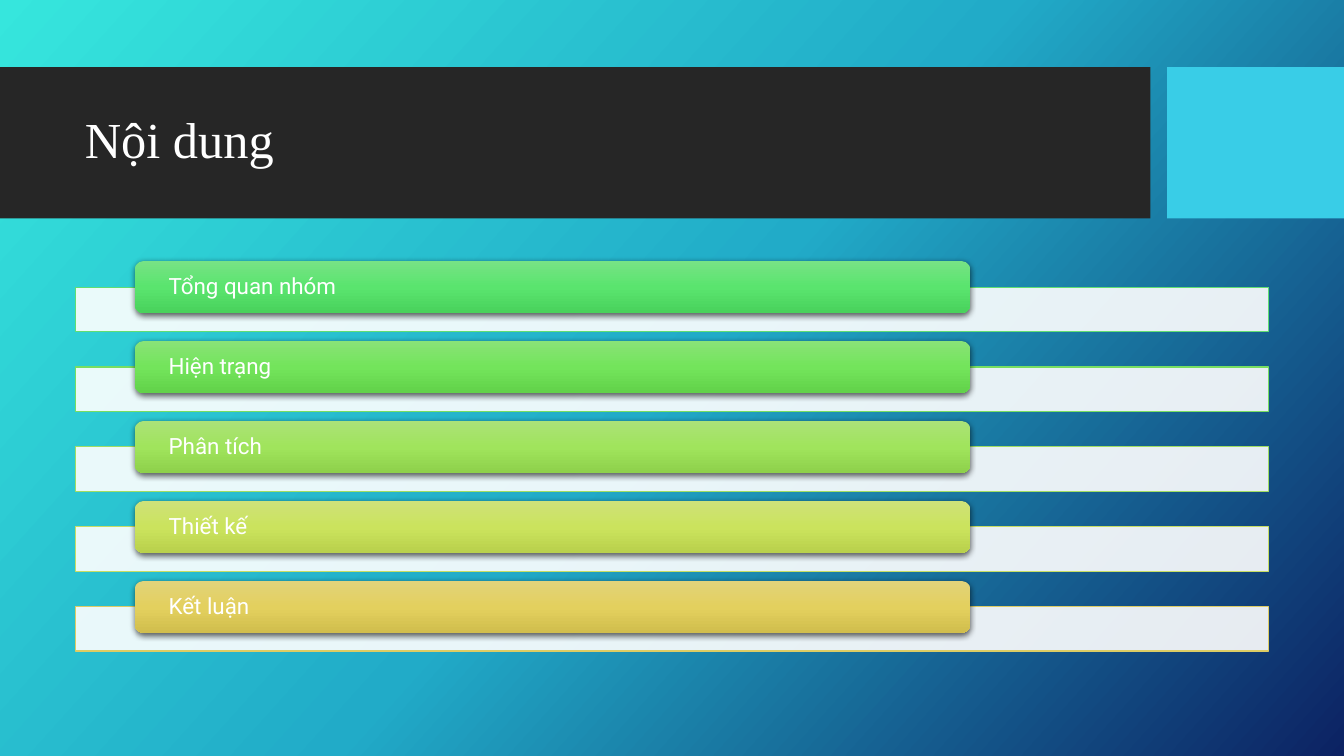
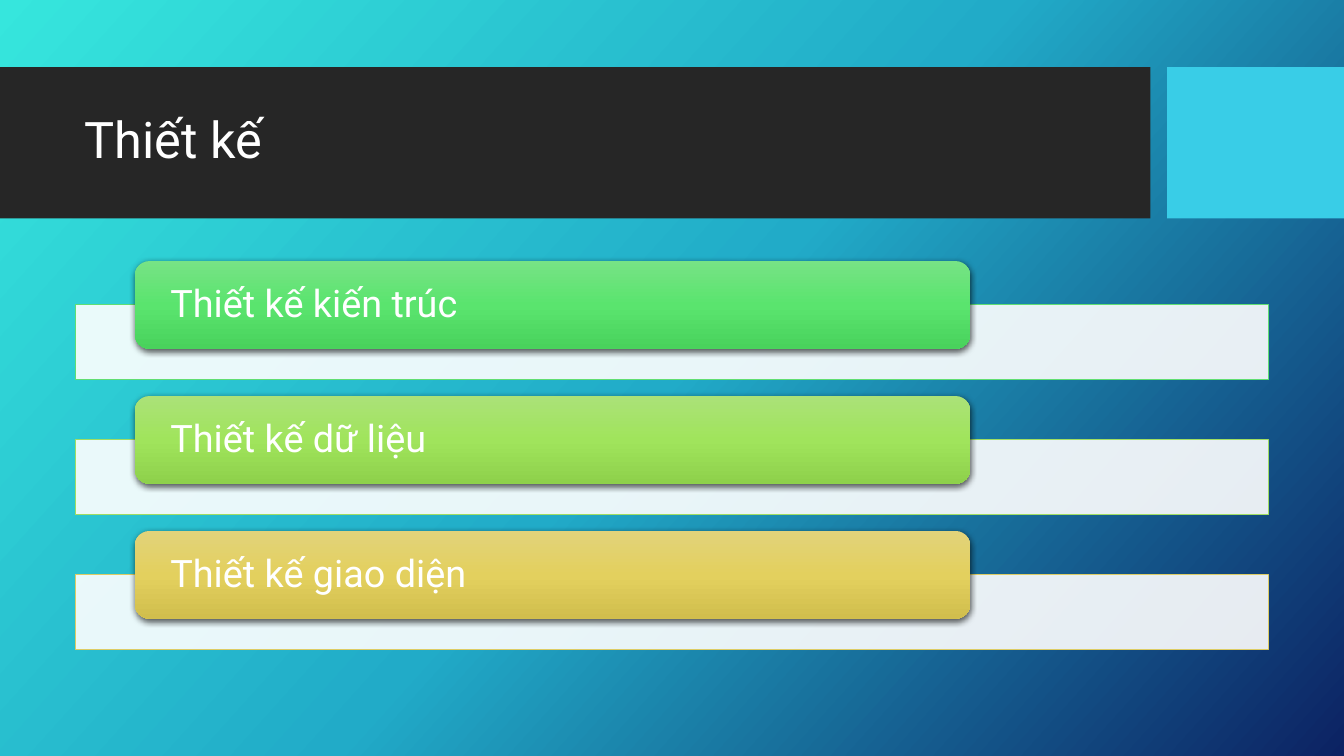
from dataclasses import dataclass

from pptx import Presentation
from pptx.dml import color
from pptx.enum import shapes, text
from pptx.oxml import ns, parse_xml
from pptx.util import Pt

AGENDAS = [
    {"title": "Nội dung", "title_font": "Times New Roman", "size": 16,
     "topics": [("Tổng quan nhóm", "green"), ("Hiện trạng", "leaf"),
                ("Phân tích", "lime"), ("Thiết kế", "citron"),
                ("Kết luận", "gold")]},
    {"title": "Thiết kế", "title_font": "Roboto", "size": 27,
     "topics": [("Thiết kế kiến trúc", "green"), ("Thiết kế dữ liệu", "lime"),
                ("Thiết kế giao diện", "gold")]},
]


@dataclass(frozen=True)
class Theme:
    backdrop = ("36E6DD", "21ABC8", "0C2263")
    band = "262626"
    accent = "39CDE7"
    white = "FFFFFF"
    shadow = "000000"
    font = "Roboto"
    title_size = 36
    edges = {"green": "60DE72", "leaf": "77DE61", "lime": "A0DD62",
             "citron": "C7DD63", "gold": "DDCC64"}
    bars = {"green": ("77E385", "5AE46E", "49D25C"),
            "leaf": ("89E377", "73E45B", "62D24A"),
            "lime": ("ABE278", "A0E45C", "8ED14B"),
            "citron": ("CEE279", "CBE35D", "B9D14C"),
            "gold": ("E2D37A", "E3D05E", "D1BE4D")}


THEME = Theme()
SLIDE_W, SLIDE_H = 960, 540
BAND_TOP, BAND_H, BAND_W, ACCENT_LEFT = 48, 108, 821.7, 833.6
TITLE_BOX = (53.5, 59, 757, 85)
LIST_LEFT, LIST_TOP, LIST_W = 53.7, 186.5, 852.5
BAR_INDENT, BAR_SHARE, BAR_INSET = 0.05, 0.7, 22.4
BAR_RATIO, STRIP_RATIO, PITCH_RATIO = 2.32, 1.97, 3.57


def rgb(value):
    return color.RGBColor.from_string(value)


def set_gradient(owner, fill, colours, angle):
    fill.gradient()
    fill.gradient_angle = 360 - angle
    stops = owner.find(".//" + ns.qn("a:gsLst"))
    for stop in list(stops):
        stops.remove(stop)
    for place, value in zip((0, 50000, 100000), colours):
        stops.append(parse_xml(
            f'<a:gs {ns.nsdecls("a")} pos="{place}"><a:srgbClr val="{value}"/></a:gs>'))


def add_block(slide, kind, box, fill=None, edge=None):
    block = slide.shapes.add_shape(kind, *map(Pt, box))
    block.shadow.inherit = False
    if fill:
        block.fill.solid()
        block.fill.fore_color.rgb = rgb(fill)
    if edge:
        block.line.color.rgb = rgb(edge)
        block.line.width = Pt(0.75)
    else:
        block.line.fill.background()
    return block


def write(holder, wording, font, size):
    frame = holder.text_frame
    frame.word_wrap = True
    frame.vertical_anchor = text.MSO_ANCHOR.MIDDLE
    paragraph = frame.paragraphs[0]
    paragraph.text = wording
    paragraph.alignment = text.PP_ALIGN.LEFT
    paragraph.line_spacing = 0.9
    paragraph.font.name = font
    paragraph.font.size = Pt(size)
    paragraph.font.color.rgb = rgb(THEME.white)
    return frame


def add_header(slide, title, font):
    rect = shapes.MSO_SHAPE.RECTANGLE
    add_block(slide, rect, (0, BAND_TOP, BAND_W, BAND_H), THEME.band)
    add_block(slide, rect, (ACCENT_LEFT, BAND_TOP, SLIDE_W - ACCENT_LEFT, BAND_H),
              THEME.accent)
    heading = slide.shapes.add_textbox(*map(Pt, TITLE_BOX))
    write(heading, title, font, THEME.title_size)


def add_topic(slide, wording, hue, top, size):
    bar_h = BAR_RATIO * size
    strip = add_block(slide, shapes.MSO_SHAPE.RECTANGLE,
                      (LIST_LEFT, top + bar_h / 2, LIST_W, STRIP_RATIO * size),
                      THEME.white, THEME.edges[hue])
    strip.element.spPr.find(ns.qn("a:solidFill"))[0].append(
        parse_xml(f'<a:alpha {ns.nsdecls("a")} val="90000"/>'))

    bar = add_block(slide, shapes.MSO_SHAPE.ROUNDED_RECTANGLE,
                    (LIST_LEFT + BAR_INDENT * LIST_W, top, BAR_SHARE * LIST_W, bar_h))
    set_gradient(bar.element, bar.fill, THEME.bars[hue], 90)
    bar.element.spPr.find(ns.qn("a:effectLst")).append(parse_xml(
        f'<a:outerShdw {ns.nsdecls("a")} blurRad="{Pt(4.5)}" dist="{Pt(1.5)}" '
        f'dir="5400000" algn="ctr" rotWithShape="0"><a:srgbClr val="{THEME.shadow}">'
        '<a:alpha val="63000"/></a:srgbClr></a:outerShdw>'))
    frame = write(bar, wording, THEME.font, size)
    frame.margin_left = frame.margin_right = Pt(BAR_INSET)
    frame.margin_top = frame.margin_bottom = 0


def main():
    deck = Presentation()
    deck.slide_width, deck.slide_height = Pt(SLIDE_W), Pt(SLIDE_H)
    master = deck.slide_master
    set_gradient(master.element, master.background.fill, THEME.backdrop, 42)
    for agenda in AGENDAS:
        slide = deck.slides.add_slide(deck.slide_layouts[6])
        add_header(slide, agenda["title"], agenda["title_font"])
        size = agenda["size"]
        for row, (wording, hue) in enumerate(agenda["topics"]):
            add_topic(slide, wording, hue, LIST_TOP + row * PITCH_RATIO * size, size)
    deck.save("out.pptx")


if __name__ == "__main__":
    main()
